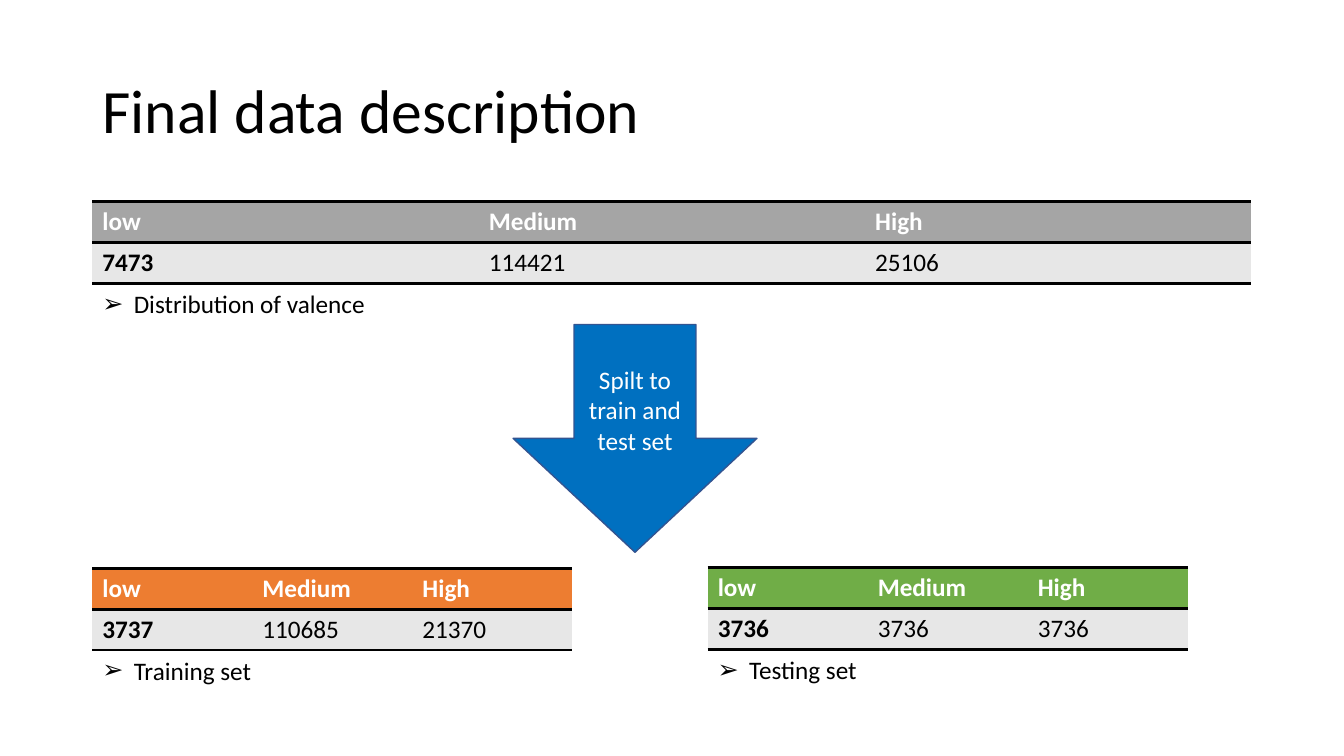
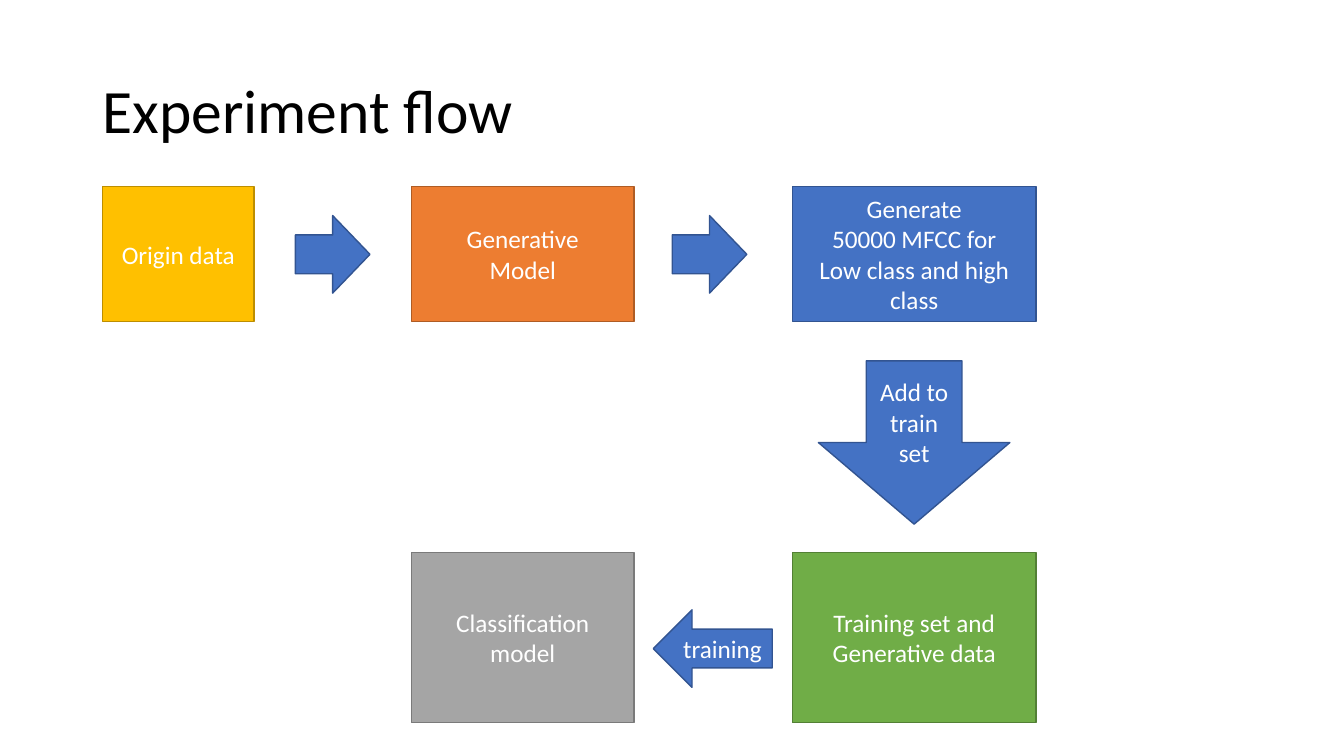
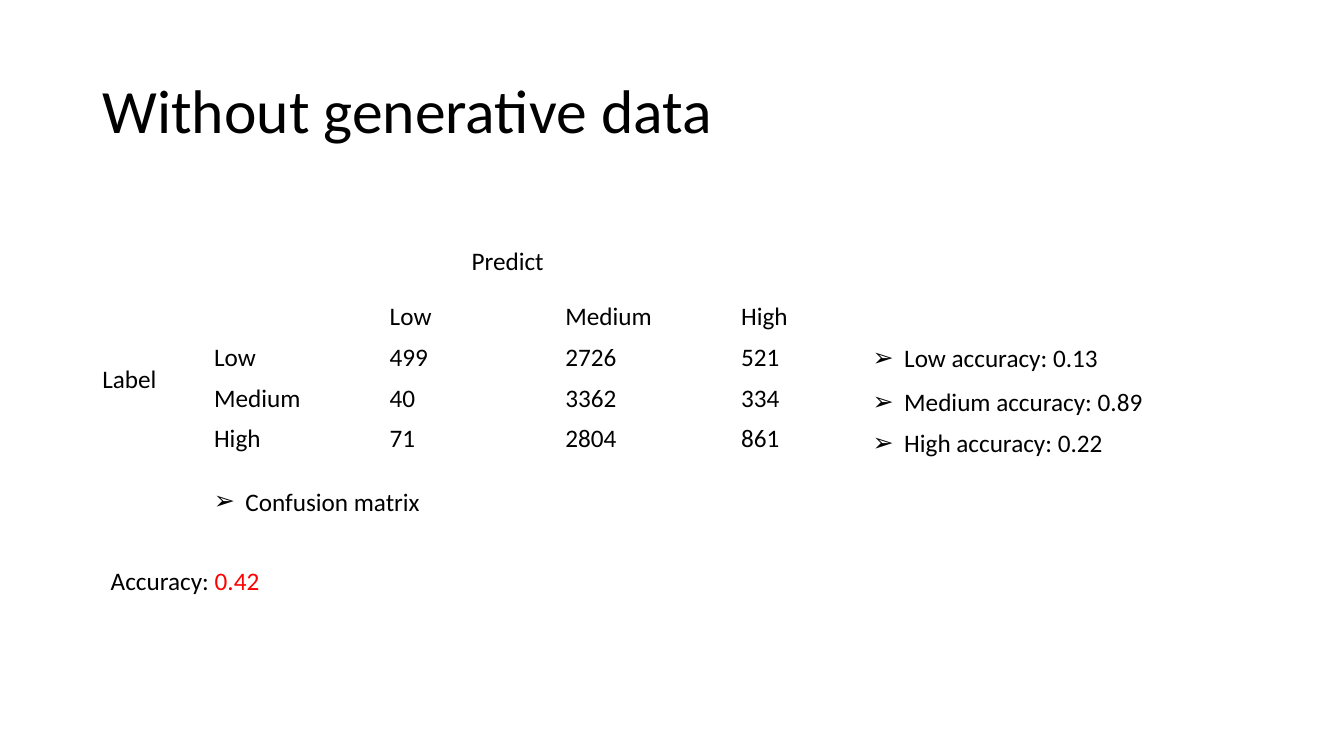
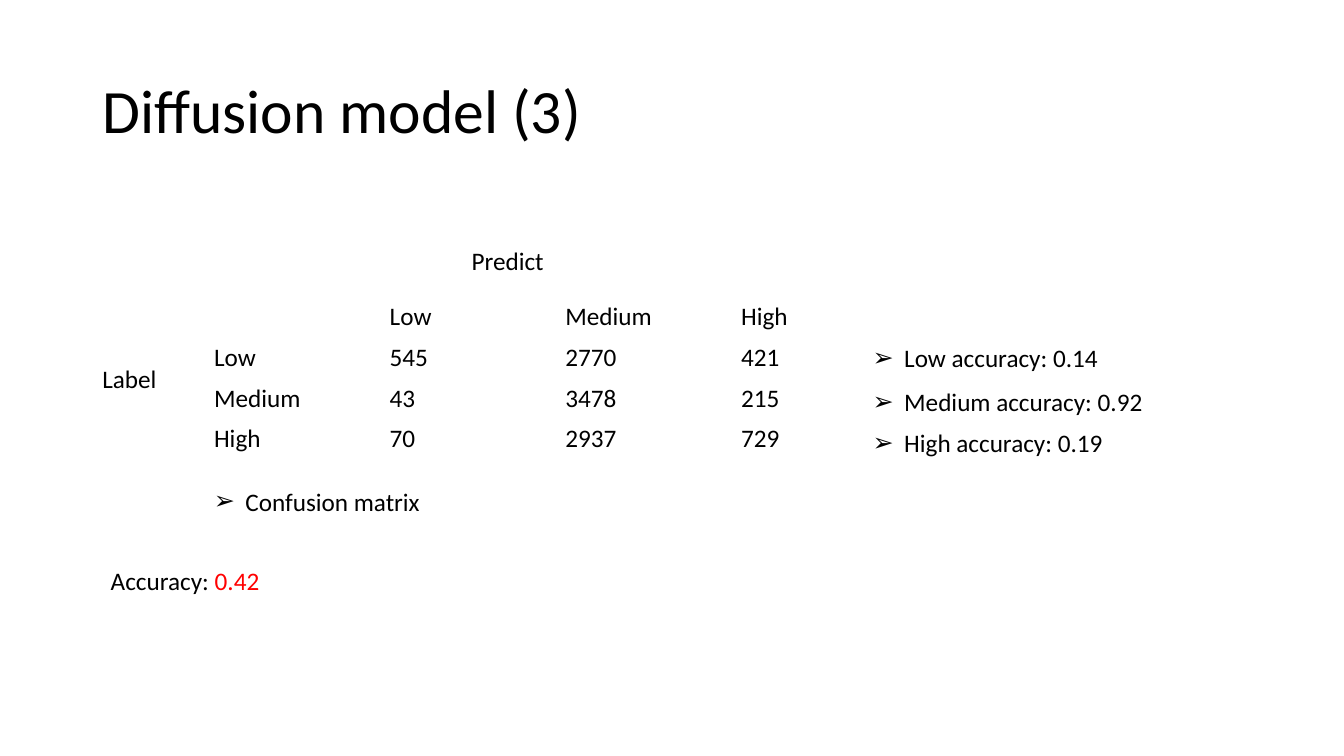
from lxml import etree
from pptx import Presentation
from pptx.dml.color import RGBColor
from pptx.enum import shapes, text
from pptx.oxml import ns
from pptx.util import Pt

# Shared look
FONT = "Calibri"
BLACK, WHITE, RED = "000000", "FFFFFF", "FF0000"
BLUE, ORANGE, GOLD = "4472C4", "ED7D31", "FFC000"
GREEN, GREY, PALE = "70AD47", "A5A5A5", "E7E7E7"
EDGE = "325491"
NO_GRID = "{2D5ABB26-0587-4C30-8999-92F81FD0307C}"
LEFT, ROW = 66, 29.2
rgb = RGBColor.from_string


def write(para, words, hue, size=18, bold=False):
    """Add one run to a paragraph."""
    run = para.add_run()
    run.text = words
    font = run.font
    font.name, font.size, font.bold = FONT, Pt(size), bold
    font.color.rgb = rgb(hue)


def grid(slide, x, y, col, rows, head=None):
    """Add a table; a head colour gives it fills and ruled rows."""
    wide = len(rows[0])
    table = slide.shapes.add_table(len(rows), wide, Pt(x), Pt(y),
                                   Pt(col * wide), Pt(ROW * len(rows))).table
    table.first_row = table.horz_banding = False
    table._tbl.tblPr.find(ns.qn("a:tableStyleId")).text = NO_GRID
    for r, row in enumerate(rows):
        table.rows[r].height = Pt(ROW)
        for c, words in enumerate(row):
            table.columns[c].width = Pt(col)
            cell = table.cell(r, c)
            top = head and r == 0
            if words:
                write(cell.text_frame.paragraphs[0], words,
                      WHITE if top else BLACK, bold=bool(head and (top or c == 0)))
            if not head:
                cell.fill.background()
                continue
            props = cell._tc.get_or_add_tcPr()
            for side in ("lnT", "lnB"):
                line = etree.SubElement(props, ns.qn("a:" + side), w=str(Pt(2)))
                fill = etree.SubElement(line, ns.qn("a:solidFill"))
                etree.SubElement(fill, ns.qn("a:srgbClr"), val=BLACK)
            cell.fill.solid()
            cell.fill.fore_color.rgb = rgb(head if top else PALE)


deck = Presentation()
deck.slide_width, deck.slide_height = Pt(960), Pt(540)

# Slides and titles
pages = []
for name in ("Final data description", "Experiment flow",
             "Without generative data", "Diffusion model (3)"):
    page = deck.slides.add_slide(deck.slide_layouts[5])
    title = page.shapes.title
    title.left, title.top = Pt(LEFT), Pt(28.75)
    title.width, title.height = Pt(828), Pt(104.4)
    frame = title.text_frame
    frame.auto_size = text.MSO_AUTO_SIZE.NONE
    frame.vertical_anchor = text.MSO_ANCHOR.MIDDLE
    para = frame.paragraphs[0]
    para.alignment, para.line_spacing = text.PP_ALIGN.LEFT, 0.9
    write(para, name, BLACK, 44)
    pages.append(page)
data, flow, plain, model = pages

# Notes gather here: slide, x, y, width, bulleted, runs
notes = []

# Class counts, each with its caption
for x, y, col, head, counts, name in (
        (LEFT, 144, 276, GREY, ("7473", "114421", "25106"), "Distribution of valence"),
        (LEFT, 406, 114.3, ORANGE, ("3737", "110685", "21370"), "Training set"),
        (505.5, 405.5, 114.3, GREEN, ("3736", "3736", "3736"), "Testing set")):
    grid(data, x, y, col, [("low", "Medium", "High"), counts], head)
    notes.append((data, x, y + 2 * ROW, 296, True, [(name, BLACK)]))

# Confusion matrices with their scores
LEVELS = ("Low", "Medium", "High")
for page, counts, rates, total in (
        (plain, (("499", "2726", "521"), ("40", "3362", "334"), ("71", "2804", "861")),
         ("0.13", "0.89", "0.22"), "0.42"),
        (model, (("545", "2770", "421"), ("43", "3478", "215"), ("70", "2937", "729")),
         ("0.14", "0.92", "0.19"), "0.42")):
    grid(page, 145.7, 211.6, 125.5,
         [("",) + LEVELS] + [(level,) + row for level, row in zip(LEVELS, counts)])
    notes += [
        (page, 329.8, 172, 132.5, False, [("Predict", BLACK)]),
        (page, LEFT, 255.8, 132.5, False, [("Label", BLACK)]),
        (page, 145.7, 343.7, 191, True, [("Confusion matrix", BLACK)]),
        (page, 72, 400, 286.5, False, [("Accuracy: ", BLACK), (total, RED)])]
    for y, level, rate in zip((241.2, 272.7, 302), LEVELS, rates):
        notes.append((page, 616.3, y, 225, True, [(f"{level} accuracy: {rate}", BLACK)]))

# Text boxes
for page, x, y, w, mark, runs in notes:
    frame = page.shapes.add_textbox(Pt(x), Pt(y), Pt(w), Pt(29)).text_frame
    frame.word_wrap = True
    frame.auto_size = text.MSO_AUTO_SIZE.SHAPE_TO_FIT_TEXT
    para = frame.paragraphs[0]
    for words, hue in runs:
        write(para, words, hue)
    if mark:
        props = para._p.get_or_add_pPr()
        props.set("marL", str(Pt(22.5)))
        props.set("indent", str(Pt(-22.5)))
        etree.SubElement(props, ns.qn("a:buFont"), typeface="Arial")
        etree.SubElement(props, ns.qn("a:buChar"), char="\u27a2")

# Flow boxes and block arrows
KIND = shapes.MSO_SHAPE
BOX, DOWN = KIND.RECTANGLE, KIND.DOWN_ARROW
RIGHT, BACK = KIND.RIGHT_ARROW, KIND.LEFT_ARROW
MID, END, TOP, LOW = 293.8, 565.9, 133.2, 394.6
for page, kind, x, y, w, h, hue, edge, lines in (
        (data, DOWN, 366.5, 231.8, 174.2, 162.7, "0070C0", EDGE,
         ["Spilt to train and test set"]),
        (flow, BOX, MID, TOP, 159.1, 96.5, ORANGE, "AF5C24", ["Generative", "Model"]),
        (flow, BOX, 73.4, TOP, 108, 96.5, GOLD, "BD8E00", ["Origin data"]),
        (flow, RIGHT, 211, 154, 53.3, 55.4, BLUE, EDGE, []),
        (flow, RIGHT, 480.2, 154, 53.3, 55.4, BLUE, EDGE, []),
        (flow, BOX, END, TOP, 174.2, 96.5, BLUE, EDGE,
         ["Generate", "50000 MFCC for", "Low class and high class"]),
        (flow, DOWN, 584.6, 257.8, 136.8, 116.6, BLUE, EDGE, ["Add to train set"]),
        (flow, BOX, END, LOW, 174.2, 121.7, GREEN, "538035",
         ["Training set and", "Generative data"]),
        (flow, BOX, MID, LOW, 159.1, 121.7, GREY, "7A7A7A", ["Classification", "model"]),
        (flow, BACK, 466.6, 435.6, 85, 55.4, BLUE, EDGE, ["training"])):
    shape = page.shapes.add_shape(kind, Pt(x), Pt(y), Pt(w), Pt(h))
    shape.shadow.inherit = False
    shape.fill.solid()
    shape.fill.fore_color.rgb = rgb(hue)
    shape.line.color.rgb = rgb(edge)
    shape.line.width = Pt(1)
    frame = shape.text_frame
    frame.word_wrap = True
    frame.vertical_anchor = text.MSO_ANCHOR.MIDDLE
    for i, words in enumerate(lines):
        para = frame.add_paragraph() if i else frame.paragraphs[0]
        para.alignment = text.PP_ALIGN.CENTER
        write(para, words, WHITE)

deck.save("out.pptx")
